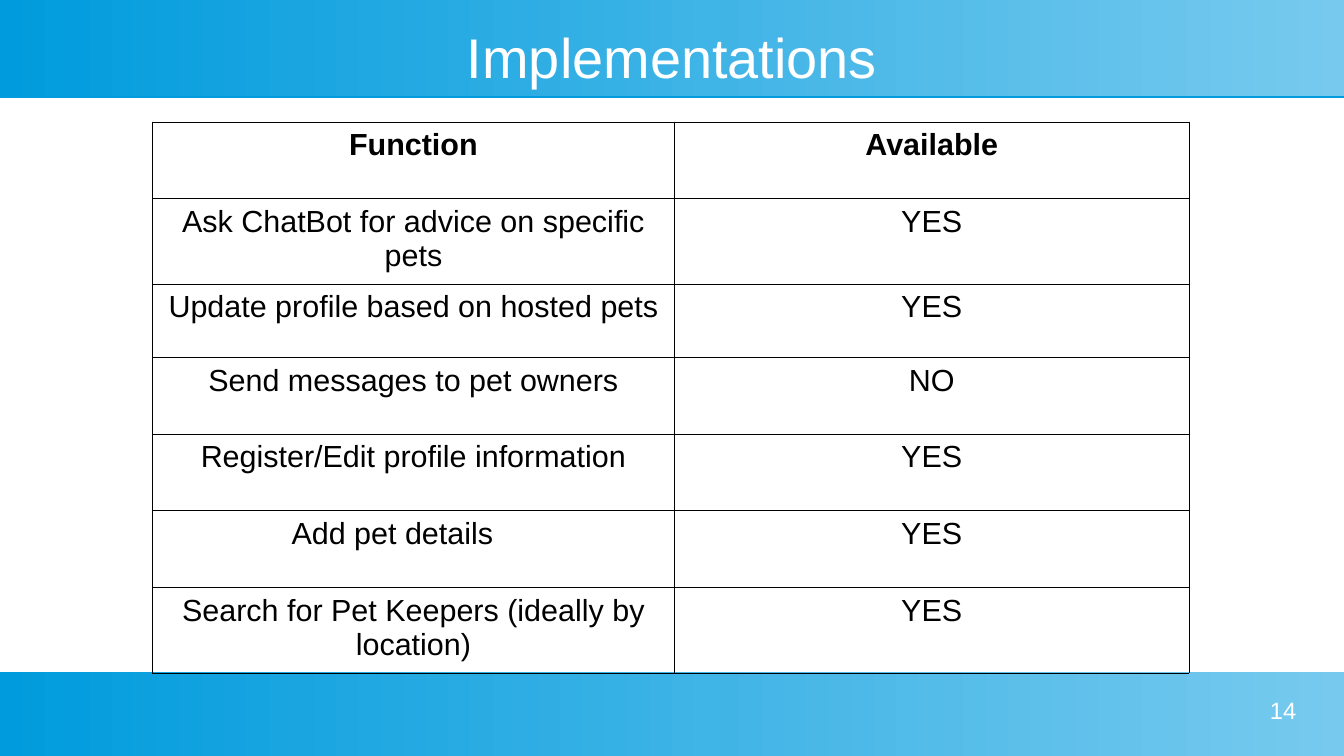
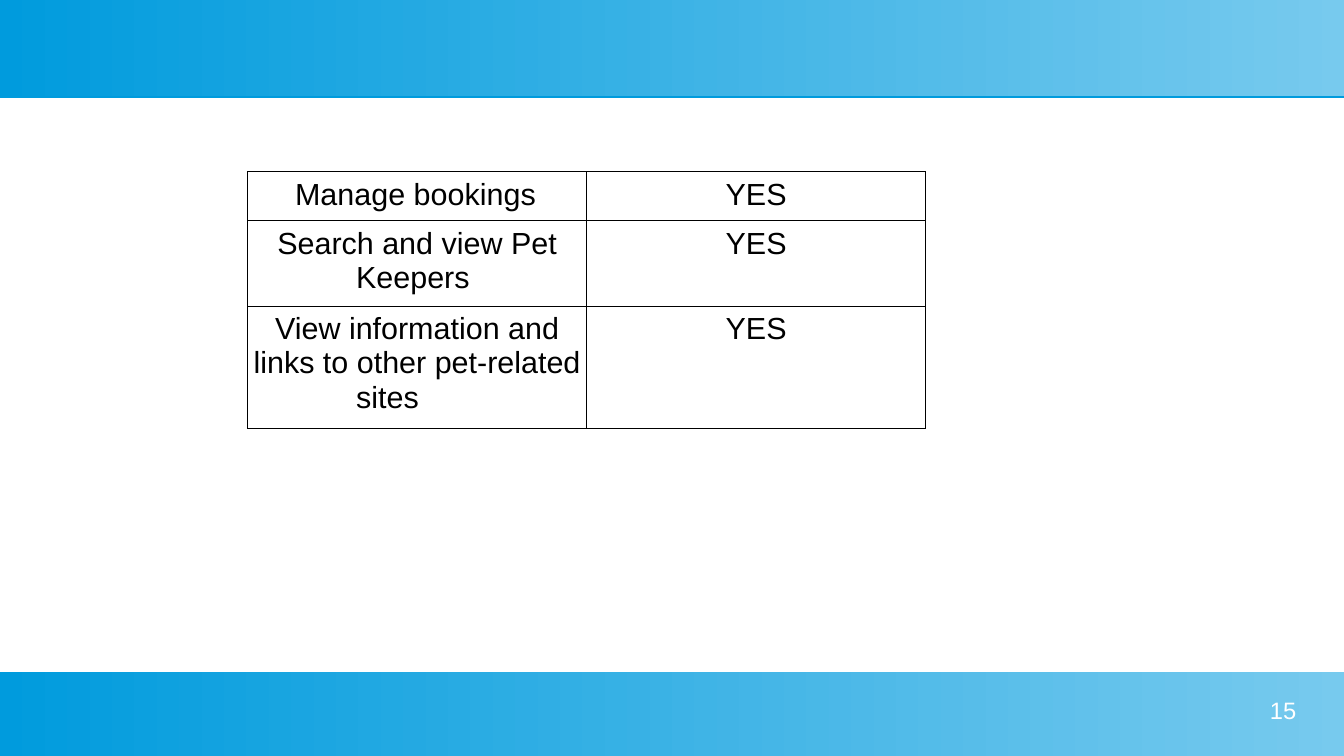
from dataclasses import dataclass
from lxml.etree import SubElement
from pptx import Presentation
from pptx.dml.color import RGBColor as Rgb
from pptx.enum.text import MSO_ANCHOR as Anchor, MSO_AUTO_SIZE as Fit, PP_ALIGN as Align
from pptx.enum.shapes import MSO_SHAPE as Kind
from pptx.oxml import parse_xml
from pptx.oxml.ns import nsdecls, qn
from pptx.presentation import Presentation as Deck
from pptx.slide import Slide
from pptx.text.text import TextFrame
from pptx.util import Inches, Pt


@dataclass(frozen=True)
class Theme:
    font: str = "Arial"
    deep: str = "009BDD"
    pale: str = "77CAEE"
    white: str = "FFFFFF"
    black: str = "000000"
    title: int = 33
    body: int = 18
    page: int = 14
    rule: float = 0.57
    wide: float = 11.02
    high: float = 6.2


@dataclass(frozen=True)
class Grid:
    left: float
    top: float
    cols: tuple[float, ...]
    rows: tuple[float, ...]
    cells: tuple[tuple[str, str], ...]
    head: bool = False


@dataclass(frozen=True)
class Page:
    number: int
    grid: Grid
    title: str = ""


THEME = Theme()
BANDS = ((0, 0.79), (5.51, 0.69))
PAGES = (
    Page(14, Grid(1.25, 1, (4.28, 4.22), (0.63, 0.7, 0.6, 0.63, 0.63, 0.63, 0.7), (
        ("Function", "Available"),
        ("Ask ChatBot for advice on specific pets", "YES"),
        ("Update profile based on hosted pets", "YES"),
        ("Send messages to pet owners", "NO"),
        ("Register/Edit profile information", "YES"),
        ("Add pet details\t", "YES"),
        ("Search for Pet Keepers (ideally by location)", "YES"),
    ), head=True), "Implementations"),
    Page(15, Grid(2.03, 1.41, (2.78, 2.78), (0.4, 0.7, 1), (
        ("Manage bookings\t", "YES"),
        ("Search and view Pet Keepers\t", "YES"),
        ("View information and links to other pet-related sites\t", "YES"),
    ))),
)


def write(frame: TextFrame, text: str, size: int, color: str,
          align: Align, bold: bool = False) -> None:
    frame.text = text
    para = frame.paragraphs[0]
    para.alignment = align
    for run in para.runs:
        font = run.font
        font.name, font.size, font.bold = THEME.font, Pt(size), bold
        font.color.rgb = Rgb.from_string(color)


def trim(frame: TextFrame) -> None:
    """Wrap the text and take away the frame's margins."""
    frame.word_wrap = True
    frame.auto_size = Fit.NONE
    frame.margin_left = frame.margin_right = 0
    frame.margin_top = frame.margin_bottom = 0


def add_bands(deck: Deck, slide: Slide) -> None:
    """Draw the bands on a slide, then move them to the back of the master."""
    tree = deck.slide_master.shapes.element
    for i, (top, high) in enumerate(BANDS):
        band = slide.shapes.add_shape(
            Kind.RECTANGLE, 0, Inches(top), Inches(THEME.wide), Inches(high))
        band.line.fill.background()
        band.fill.gradient()
        band.fill.gradient_angle = 0
        for stop, color in zip(band.fill.gradient_stops, (THEME.deep, THEME.pale)):
            stop.color.rgb = Rgb.from_string(color)
        band.element.spPr.append(parse_xml(
            f'<a:effectLst {nsdecls("a")}><a:outerShdw dist="{Pt(0.9)}" dir="5400000">'
            f'<a:srgbClr val="{THEME.deep}"/></a:outerShdw></a:effectLst>'))
        band.element.nvSpPr.cNvPr.set("id", str(100 + i))
        tree.insert(2 + i, band.element)


def add_title(slide: Slide, text: str) -> None:
    title = slide.shapes.title
    title.left, title.top = Inches(0.39), Inches(0.2)
    title.width, title.height = Inches(10.24), Inches(0.52)
    frame = title.text_frame
    trim(frame)
    frame.vertical_anchor = Anchor.MIDDLE
    write(frame, text, THEME.title, THEME.white, Align.CENTER)


def add_grid(slide: Slide, grid: Grid) -> None:
    table = slide.shapes.add_table(
        len(grid.rows), len(grid.cols), Inches(grid.left), Inches(grid.top),
        Inches(sum(grid.cols)), Inches(sum(grid.rows))).table
    table.first_row = grid.head
    table.horz_banding = False
    for col, wide in zip(table.columns, grid.cols):
        col.width = Inches(wide)
    for i, (row, high) in enumerate(zip(table.rows, grid.rows)):
        row.height = Inches(high)
        for cell, text in zip(row.cells, grid.cells[i]):
            cell.margin_left = cell.margin_right = Inches(0.04)
            cell.margin_top = cell.margin_bottom = Inches(0.05)
            write(cell.text_frame, text, THEME.body, THEME.black,
                  Align.CENTER, grid.head and i == 0)
            props = cell._tc.get_or_add_tcPr()
            for side in ("lnL", "lnR", "lnT", "lnB"):
                line = SubElement(props, qn(f"a:{side}"), w=str(Pt(THEME.rule)))
                fill = SubElement(line, qn("a:solidFill"))
                SubElement(fill, qn("a:srgbClr"), val=THEME.black)
            cell.fill.background()


def add_number(slide: Slide, number: int) -> None:
    box = slide.shapes.add_textbox(Inches(8.07), Inches(5.71), Inches(2.56), Inches(0.39))
    trim(box.text_frame)
    write(box.text_frame, str(number), THEME.page, THEME.white, Align.RIGHT)


def main() -> None:
    deck = Presentation()
    deck.slide_width, deck.slide_height = Inches(THEME.wide), Inches(THEME.high)
    titled, blank = deck.slide_layouts[5], deck.slide_layouts[6]
    for i, page in enumerate(PAGES):
        slide = deck.slides.add_slide(titled if page.title else blank)
        if i == 0:
            add_bands(deck, slide)
        if page.title:
            add_title(slide, page.title)
        add_grid(slide, page.grid)
        add_number(slide, page.number)
    deck.save("out.pptx")


if __name__ == "__main__":
    main()
